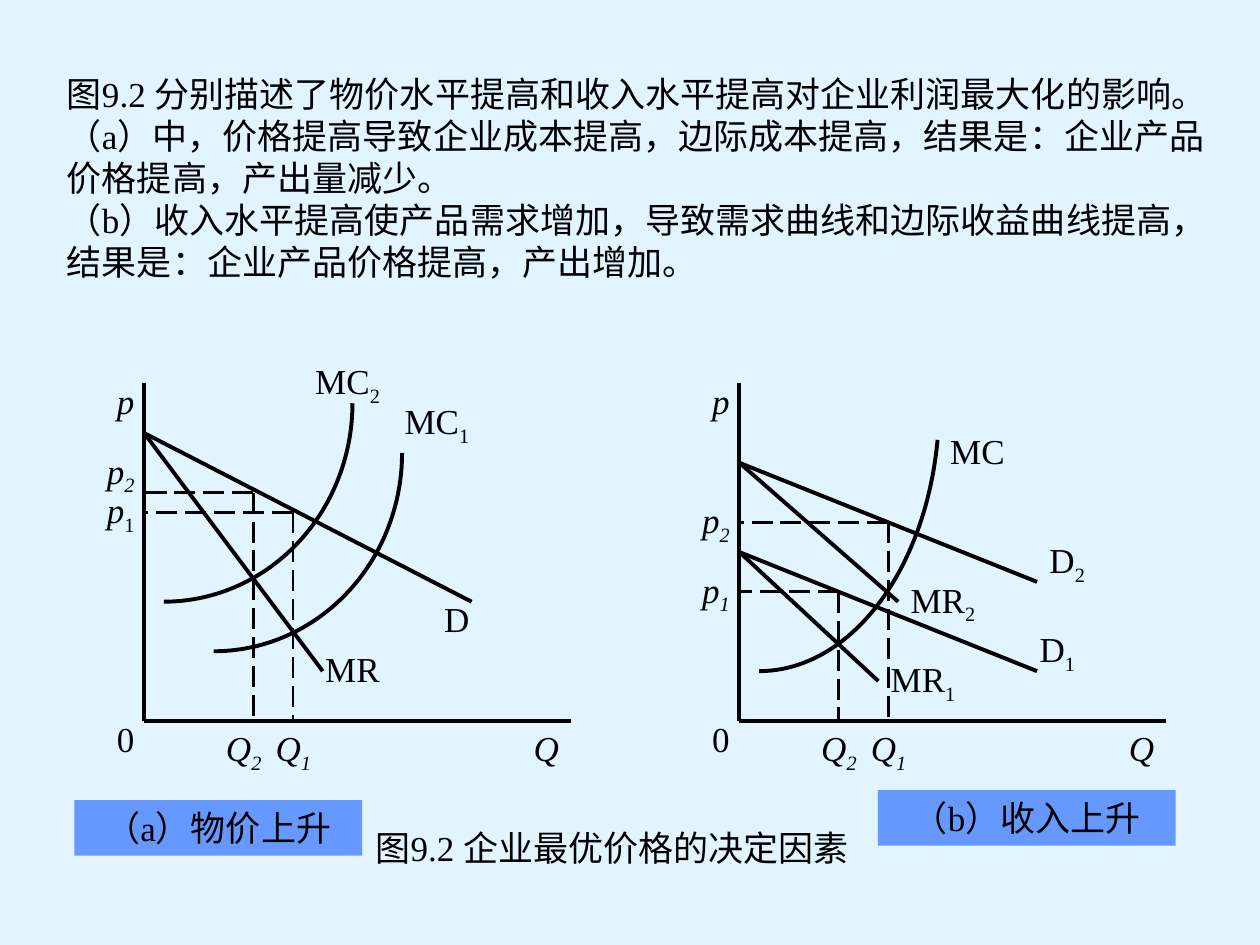
from pptx import Presentation
from pptx.dml.color import RGBColor
from pptx.enum.dml import MSO_LINE
from pptx.enum.shapes import MSO_CONNECTOR, MSO_SHAPE
from pptx.enum.text import MSO_AUTO_SIZE, PP_ALIGN
from pptx.oxml.ns import qn
from pptx.util import Mm, Pt
from lxml import etree

STRAIGHT = MSO_CONNECTOR.STRAIGHT
RECTANGLE, ARC = MSO_SHAPE.RECTANGLE, MSO_SHAPE.ARC
DASH, GROW = MSO_LINE.LONG_DASH, MSO_AUTO_SIZE.SHAPE_TO_FIT_TEXT
LEFT, CENTER = PP_ALIGN.LEFT, PP_ALIGN.CENTER
BLACK = RGBColor(0x00, 0x00, 0x00)
SKY = RGBColor(0xE1, 0xF4, 0xFF)
BLUE = RGBColor(0x66, 0x99, 0xFF)
CELL = Mm(2)
COLUMNS, ROWS = 127, 95.25
AXIS_COLUMNS, AXIS_ROWS = 43, 34
ADVANCE = {"p": 1.76, "Q": 2.55, "0": 1.76, "M": 3.14, "C": 2.35, "R": 2.35, "D": 2.55}
INSET, SUBSCRIPT = 2.54, 1.02
ADJUSTMENT_PER_DEGREE = 0.6
PLAIN = {"name": "Times New Roman", "size": Pt(20)}
ITALIC = {**PLAIN, "italic": True}

INTRO = [
    "图9.2 分别描述了物价水平提高和收入水平提高对企业利润最大化的影响。",
    "（a）中，价格提高导致企业成本提高，边际成本提高，结果是：企业产品价格提高，产出量减少。",
    "（b）收入水平提高使产品需求增加，导致需求曲线和边际收益曲线提高，结果是：企业产品价格提高，产出增加。",
]
AXIS_LABELS = [
    ("p", "", ITALIC, -4, 35), ("0", "", PLAIN, -4, 1), ("Q", "", ITALIC, 38, 0),
    ("Q", "1", ITALIC, 12, 0), ("Q", "2", ITALIC, 7, 0),
]
PRICE_RISE = {
    "lines": [((0, 29), (33, 12)), ((0, 29), (18, 5))],
    "guides": [(11, 23), (15, 21)],
    "curves": [((2, 32), (19, 20), 0), ((7, 27), (19, 20), 0)],
    "labels": [
        ("p", "2", ITALIC, -5, 28), ("p", "1", ITALIC, -5, 24),
        ("MC", "2", PLAIN, 16, 37), ("MC", "1", PLAIN, 25, 33),
        ("MR", "", PLAIN, 17, 8), ("D", "", PLAIN, 29, 13),
    ],
    "upright_price": "1",
}
INCOME_RISE = {
    "lines": [
        ((0, 26), (30, 14)), ((0, 26), (16, 12)),
        ((0, 17), (30, 5)), ((0, 17), (14, 4)),
    ],
    "guides": [(10, 13), (15, 20)],
    "curves": [((2, 32), (18.15, 27), 11.6)],
    "labels": [
        ("p", "2", ITALIC, -5, 23), ("p", "1", ITALIC, -5, 16),
        ("MC", "", PLAIN, 20, 30), ("MR", "2", PLAIN, 16, 15),
        ("MR", "1", PLAIN, 14, 7), ("D", "1", PLAIN, 29, 10),
        ("D", "2", PLAIN, 30, 19),
    ],
    "upright_price": "",
}


def cells(*counts):
    """Turn counts of grid cells into lengths."""
    return [round(count * CELL) for count in counts]


def add_span(para, text, style):
    """Add a black run with the given font values."""
    span = para.add_run()
    span.text = text
    for name, value in style.items():
        setattr(span.font, name, value)
    span.font.color.rgb = BLACK
    return span


def fill_text(shape, lines, align=LEFT, wrap=True):
    """Write plain paragraphs without hanging punctuation into a shape."""
    frame = shape.text_frame
    frame.word_wrap, frame.auto_size = wrap, GROW
    for index, line in enumerate(lines):
        para = frame.add_paragraph() if index else frame.paragraphs[0]
        para.alignment = align
        para._p.get_or_add_pPr().set("hangingPunct", "0")
        add_span(para, line, PLAIN)


def add_text(page, box, lines, wrap=True):
    """Place a text box in grid cells."""
    fill_text(page.shapes.add_textbox(*cells(*box)), lines, wrap=wrap)


def add_badge(page, box, text):
    """Place a blue panel title."""
    badge = page.shapes.add_shape(RECTANGLE, *cells(*box))
    badge.shadow.inherit = False
    badge.fill.solid()
    badge.fill.fore_color.rgb = BLUE
    badge.line.fill.background()
    fill_text(badge, [text], CENTER)


def add_label(page, left, top, label, upright):
    """Place a symbol with an optional subscript."""
    text, index, style, column, row = label
    width = INSET + sum(ADVANCE[letter] for letter in text) + SUBSCRIPT * bool(index)
    height = 6.1 if index else 5.6
    box = page.shapes.add_textbox(*cells(left + column, top - row, width, height))
    frame = box.text_frame
    frame.word_wrap, frame.auto_size = False, GROW
    para = frame.paragraphs[0]
    add_span(para, text, style)
    if index:
        span = add_span(para, index, PLAIN if upright else style)
        span.font._element.set("baseline", "-25000")


def add_line(page, left, base, start, end, width=2.25, dash=None):
    """Draw a line between two points measured from the origin."""
    ends = cells(left + start[0], base - start[1], left + end[0], base - end[1])
    line = page.shapes.add_connector(STRAIGHT, *ends)
    line.line.color.rgb = BLACK
    line.line.width = Pt(width)
    if dash:
        line.line.dash_style = dash
    etree.SubElement(line._element.spPr, qn("a:effectLst"))


def add_curve(page, left, base, center, radii, start):
    """Draw the lower right arc of an ellipse measured from the origin."""
    (column, row), (across, down) = center, radii
    box = cells(left + column - across, base - row - down, 2 * across, 2 * down)
    curve = page.shapes.add_shape(ARC, *box)
    for index, degrees in enumerate((start, 90)):
        curve.adjustments[index] = degrees * ADJUSTMENT_PER_DEGREE
    curve.shadow.inherit = False
    curve.fill.background()
    curve.line.color.rgb = BLACK
    curve.line.width = Pt(2.25)


def add_panel(page, left, base, panel):
    """Draw one price and quantity diagram from its origin."""
    for column, row in panel["guides"]:
        for end in ((column, 0), (0, row)):
            add_line(page, left, base, (column, row), end, 1.5, DASH)
    axes = [((0, AXIS_ROWS), (0, 0)), ((0, 0), (AXIS_COLUMNS, 0))]
    for start, end in axes + panel["lines"]:
        add_line(page, left, base, start, end)
    for center, radii, start in panel["curves"]:
        add_curve(page, left, base, center, radii, start)
    for label in AXIS_LABELS + panel["labels"]:
        upright = label[0] == "p" and label[1] == panel["upright_price"]
        add_label(page, left, base, label, upright)


def main():
    """Build and save the slide."""
    deck = Presentation()
    deck.slide_width, deck.slide_height = cells(COLUMNS, ROWS)
    page = deck.slides.add_slide(deck.slide_layouts[6])
    page.background.fill.solid()
    page.background.fill.fore_color.rgb = SKY
    add_text(page, (5.5, 6.65, 119, 22.5), INTRO)
    add_panel(page, 14.53, 72.65, PRICE_RISE)
    add_panel(page, 74.53, 72.65, INCOME_RISE)
    add_badge(page, (7.5, 80.65, 29, 5.6), "（a）物价上升")
    add_badge(page, (88.5, 79.65, 30, 5.6), "（b）收入上升")
    add_text(page, (36.6, 82.7, 52, 5.6), ["图9.2 企业最优价格的决定因素"], wrap=False)
    deck.save("out.pptx")


if __name__ == "__main__":
    main()
